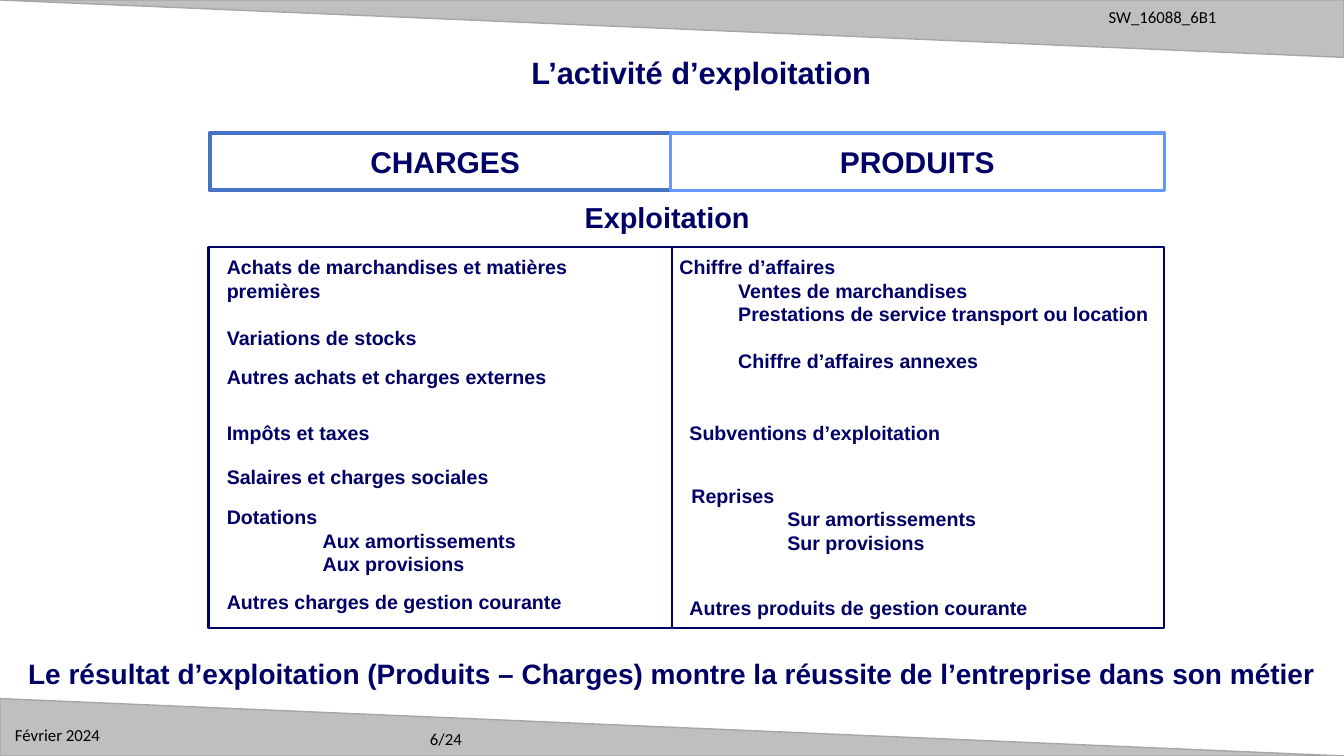
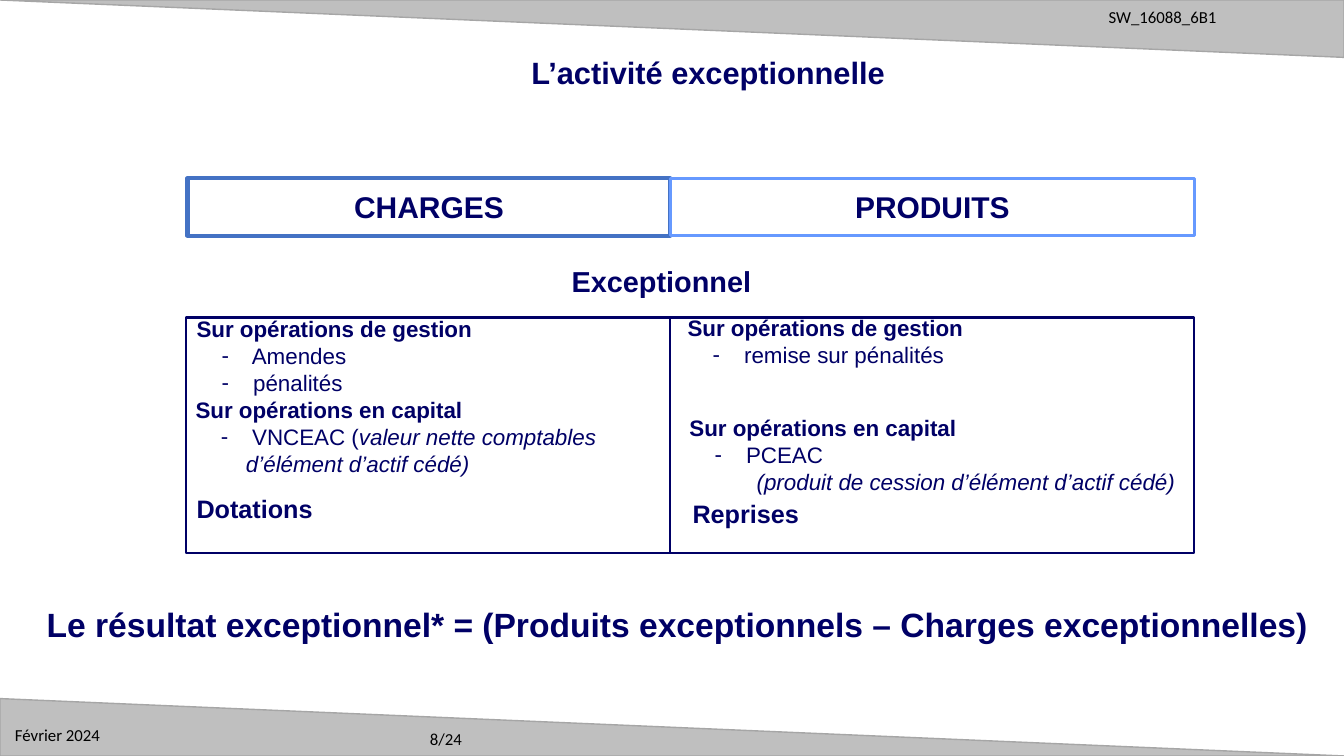
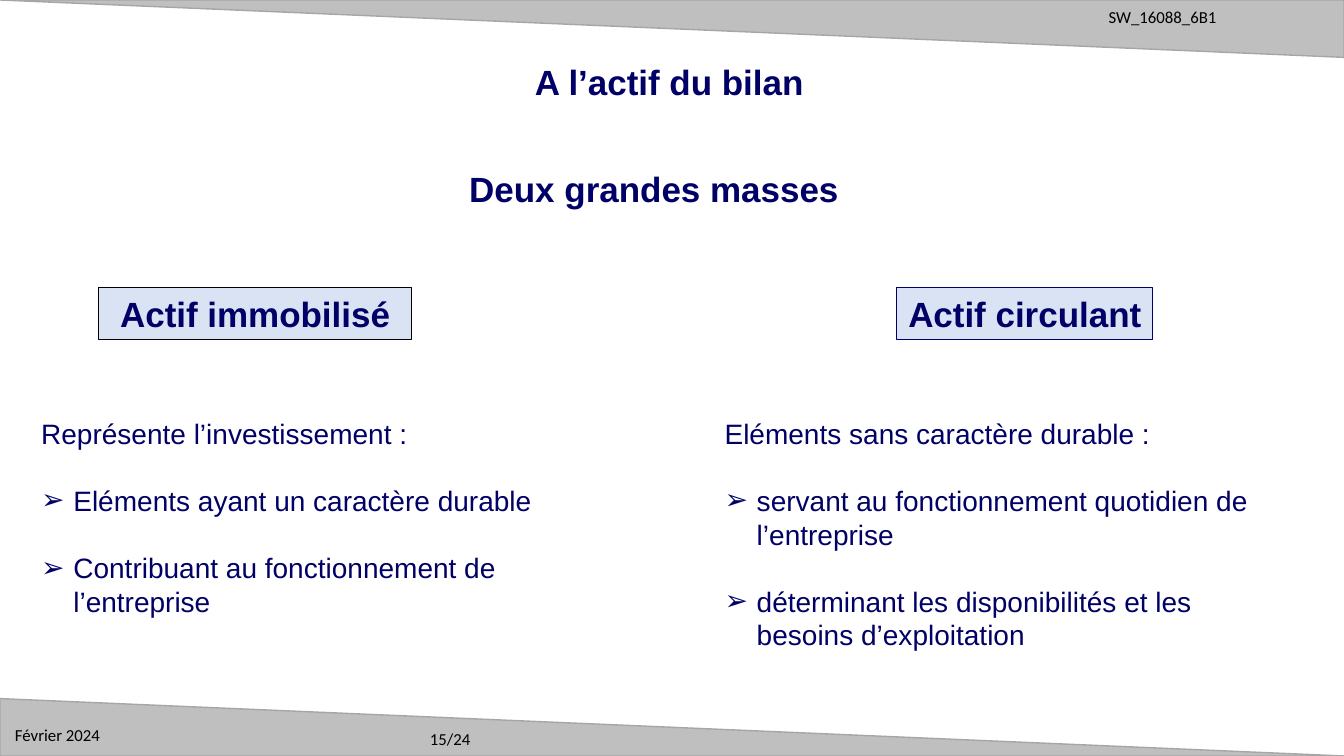
from dataclasses import dataclass
from typing import NamedTuple

from lxml import etree
from pptx import Presentation
from pptx.dml.color import RGBColor
from pptx.enum.shapes import MSO_SHAPE
from pptx.enum.text import MSO_ANCHOR, PP_ALIGN
from pptx.oxml.ns import qn
from pptx.util import Pt

RECTANGLE = MSO_SHAPE.RECTANGLE
TRIANGLE = MSO_SHAPE.ISOSCELES_TRIANGLE
LEFT, CENTER = PP_ALIGN.LEFT, PP_ALIGN.CENTER
TOP, MIDDLE = MSO_ANCHOR.TOP, MSO_ANCHOR.MIDDLE


@dataclass(frozen=True)
class Theme:
    width: float = 960
    height: float = 540
    band_height: float = 41
    font: str = "Arial"
    footer_font: str = "Calibri"
    navy: str = "000066"
    black: str = "000000"
    white: str = "FFFFFF"
    band: str = "BFBFBF"
    band_line: str = "A6A6A6"
    charges_line: str = "4472C4"
    produits_line: str = "6699FF"
    label_fill: str = "DAE3F3"
    footer: float = 12
    entry: float = 14
    detail: float = 16
    subtotal: float = 18
    body: float = 20
    section: float = 20.6
    heading: float = 21.4
    title: float = 22
    result: float = 24
    headline: float = 25
    blank_line: float = 1.2
    inset: tuple = (6.5, 2.9)
    wide_inset: tuple = (7.2, 3.6)


THEME = Theme()


class Box(NamedTuple):
    left: float
    top: float
    width: float
    height: float


class Span(NamedTuple):
    text: str
    bold: bool = False
    italic: bool = False


class Line(NamedTuple):
    content: object
    indent: float = 0
    hanging: float = 0
    bullet: str = ""
    gap: bool = False


class Entry(NamedTuple):
    left: float
    top: float
    width: float
    lines: list
    size: float = THEME.entry


def color(value):
    return RGBColor.from_string(value)


def lengths(box):
    return [Pt(value) for value in box]


def set_indent(para, line):
    properties = para._p.get_or_add_pPr()
    properties.set("marL", str(Pt(line.indent)))
    properties.set("indent", str(-Pt(line.hanging)))
    if line.bullet:
        font = etree.SubElement(properties, qn("a:buFont"))
        font.set("typeface", THEME.font)
        etree.SubElement(properties, qn("a:buChar")).set("char", line.bullet)


def write(frame, lines, *, size, bold=True, ink=THEME.navy, font=THEME.font,
          align=LEFT, anchor=TOP, wrap=True, inset=THEME.inset):
    frame.word_wrap = wrap
    frame.vertical_anchor = anchor
    frame.margin_left = frame.margin_right = Pt(inset[0])
    frame.margin_top = frame.margin_bottom = Pt(inset[1])
    for index, line in enumerate(lines):
        if isinstance(line, str):
            line = Line(line)
        para = frame.add_paragraph() if index else frame.paragraphs[0]
        para.alignment = align
        if line.gap:
            para.space_before = Pt(size * THEME.blank_line)
        if line.indent:
            set_indent(para, line)
        spans = line.content
        if isinstance(spans, str):
            spans = [Span(spans, bold)]
        for span in spans:
            run = para.add_run()
            run.text = span.text
            run.font.name = font
            run.font.size = Pt(size)
            run.font.bold = span.bold
            run.font.italic = span.italic
            run.font.color.rgb = color(ink)


def add_text(page, box, lines, **style):
    write(page.shapes.add_textbox(*lengths(box)).text_frame, lines, **style)


def add_shape(page, kind, box, *, line, weight, fill=None):
    shape = page.shapes.add_shape(kind, *lengths(box))
    shape.shadow.inherit = False
    if fill:
        shape.fill.solid()
        shape.fill.fore_color.rgb = color(fill)
    else:
        shape.fill.background()
    shape.line.color.rgb = color(line)
    shape.line.width = Pt(weight)
    return shape


def add_label(page, box, text, *, size, **look):
    shape = add_shape(page, RECTANGLE, box, **look)
    write(shape.text_frame, [text], size=size, align=CENTER, anchor=MIDDLE,
          wrap=False)


def add_page(deck, number):
    page = deck.slides.add_slide(deck.slide_layouts[6])
    for top, rotation in ((0, 180), (THEME.height - THEME.band_height, 0)):
        band = add_shape(page, TRIANGLE,
                         Box(0, top, THEME.width, THEME.band_height),
                         fill=THEME.band, line=THEME.band_line, weight=1)
        band.adjustments[0] = 0
        band.rotation = rotation
    for box, text in (
        (Box(300, 517, 100, 22), f"{number}/24"),
        (Box(784.8, 1.4, 172, 22), "SW_16088_6B1"),
        (Box(3.6, 514, 99.4, 22), "Février 2024"),
    ):
        add_text(page, box, [text], size=THEME.footer, bold=False,
                 ink=THEME.black, font=THEME.footer_font,
                 inset=THEME.wide_inset)
    return page


def add_headings(page, box, split, overlap=0):
    add_label(page, box._replace(width=split + overlap), "CHARGES",
              size=THEME.heading, fill=THEME.white,
              line=THEME.charges_line, weight=3)
    add_label(page, box._replace(left=box.left + split, width=box.width - split),
              "PRODUITS", size=THEME.heading, fill=THEME.white,
              line=THEME.produits_line, weight=2.25)


def add_account(page, box, split, charges, produits):
    columns = (
        (box._replace(width=split), charges),
        (box._replace(left=box.left + split, width=box.width - split), produits),
    )
    for column, entries in columns:
        add_shape(page, RECTANGLE, column, line=THEME.navy, weight=1.5)
        for entry in entries:
            place = Box(column.left + entry.left, column.top + entry.top,
                        entry.width, 23 * len(entry.lines))
            add_text(page, place, entry.lines, size=entry.size)


def add_asset_class(page, box, label_box, label, label_line, intro, points):
    place = label_box._replace(left=box.left + label_box.left,
                               top=box.top + label_box.top)
    add_label(page, place, label, size=THEME.headline, fill=THEME.label_fill,
              line=label_line, weight=0.75)
    bullets = [Line(point, 23, 23, "➢", gap=True) for point in points]
    add_text(page, Box(box.left, box.top + 88.6, box.width, box.height - 88.6),
             [intro, *bullets], size=THEME.body, bold=False,
             inset=THEME.wide_inset)


def dash(*spans):
    return Line(spans, 36, 18, "-")


def build_operating(deck):
    page = add_page(deck, 6)
    add_text(page, Box(373, 35.3, 264, 33), ["L’activité d’exploitation"],
             size=THEME.title, anchor=MIDDLE, wrap=False)
    add_headings(page, Box(149.8, 95, 681.8, 41), 329, overlap=7.2)
    add_text(page, Box(411.1, 139.7, 131.8, 31), ["Exploitation"],
             size=THEME.section, anchor=MIDDLE, wrap=False)
    charges = [
        Entry(6.5, 2.9, 319, ["Achats de marchandises et matières premières",
                              Line("Variations de stocks", gap=True)]),
        Entry(6.5, 81.4, 319, ["Autres achats et charges externes"]),
        Entry(6.5, 121.7, 319, ["Impôts et taxes"]),
        Entry(6.5, 152.6, 319, ["Salaires et charges sociales"]),
        Entry(6.5, 181.4, 319, ["Dotations",
                                Line("Aux amortissements", 68.5),
                                Line("Aux provisions", 68.5)]),
        Entry(6.5, 241.9, 319, ["Autres charges de gestion courante"]),
    ]
    produits = [
        Entry(-1.4, 2.9, 353, [
            "Chiffre d’affaires",
            Line("Ventes de marchandises", 42),
            Line("Prestations de service transport ou location", 42),
            Line("Chiffre d’affaires annexes", 42, gap=True)]),
        Entry(5.8, 121, 319, ["Subventions d’exploitation"]),
        Entry(7.2, 166.3, 319, ["Reprises",
                                Line("Sur amortissements", 68.5),
                                Line("Sur provisions", 68.5)]),
        Entry(5.8, 246.2, 319, ["Autres produits de gestion courante"]),
    ]
    add_account(page, Box(149, 176.4, 682.6, 272.2), 331.2, charges, produits)
    add_text(page, Box(0, 465.8, 960, 30.2),
             ["Le résultat d’exploitation (Produits – Charges) montre la "
              "réussite de l’entreprise dans son métier"],
             size=THEME.body, align=CENTER, anchor=MIDDLE)


def build_exceptional(deck):
    page = add_page(deck, 8)
    add_text(page, Box(373, 35.3, 275, 33), ["L’activité exceptionnelle"],
             size=THEME.title, anchor=MIDDLE, wrap=False)
    add_headings(page, Box(133.9, 127.4, 719.3, 41), 344.9)
    add_text(page, Box(401.8, 185, 142.6, 31), ["Exceptionnel"],
             size=THEME.section, anchor=MIDDLE, wrap=False)
    charges = [
        Entry(0.7, -4.3, 319, ["Sur opérations de gestion",
                               dash(Span(" Amendes")),
                               dash(Span(" pénalités"))], THEME.detail),
        Entry(0, 53.3, 339, [
            "Sur opérations en capital",
            dash(Span(" VNCEAC ("),
                 Span("valeur nette comptables d’élément d’actif cédé)",
                      italic=True))], THEME.detail),
        Entry(0.7, 122.4, 319, ["Dotations"], THEME.subtotal),
    ]
    produits = [
        Entry(5.8, -5, 300, ["Sur opérations de gestion",
                             dash(Span(" remise sur pénalités"))],
              THEME.detail),
        Entry(7.2, 66.2, 367, [
            "Sur opérations en capital",
            dash(Span(" PCEAC")),
            Line([Span("(produit de cession d’élément d’actif cédé)",
                       italic=True)], 48)], THEME.detail),
        Entry(9.4, 126, 319, ["Reprises"], THEME.subtotal),
    ]
    add_account(page, Box(133.2, 226.8, 720, 168.5), 345.6, charges, produits)
    add_text(page, Box(26.6, 428.4, 914.4, 35.3),
             ["Le résultat exceptionnel* = (Produits exceptionnels – "
              "Charges exceptionnelles)"],
             size=THEME.result, align=CENTER, anchor=MIDDLE)


def build_assets(deck):
    page = add_page(deck, 15)
    for box, text in ((Box(353.5, 39.6, 249, 37.4), "A l’actif du bilan"),
                      (Box(293.8, 116, 346.3, 37.4), "Deux grandes masses")):
        add_text(page, box, [text], size=THEME.headline, align=CENTER,
                 inset=THEME.wide_inset)
    add_asset_class(page, Box(22.3, 205.2, 392.4, 241), Box(48.3, 0, 223.2, 37.4),
                    "Actif immobilisé", THEME.black,
                    "Représente l’investissement :",
                    ["Eléments ayant un caractère durable",
                     "Contribuant au fonctionnement de l’entreprise"])
    add_asset_class(page, Box(510.5, 205.2, 400.3, 265.7), Box(130, 0, 183, 37.4),
                    "Actif circulant", THEME.navy,
                    "Eléments sans caractère durable :",
                    ["servant au fonctionnement quotidien de l’entreprise",
                     "déterminant les disponibilités et les besoins "
                     "d’exploitation"])


def main():
    deck = Presentation()
    deck.slide_width = Pt(THEME.width)
    deck.slide_height = Pt(THEME.height)
    for build in (build_operating, build_exceptional, build_assets):
        build(deck)
    deck.save("out.pptx")


if __name__ == "__main__":
    main()
